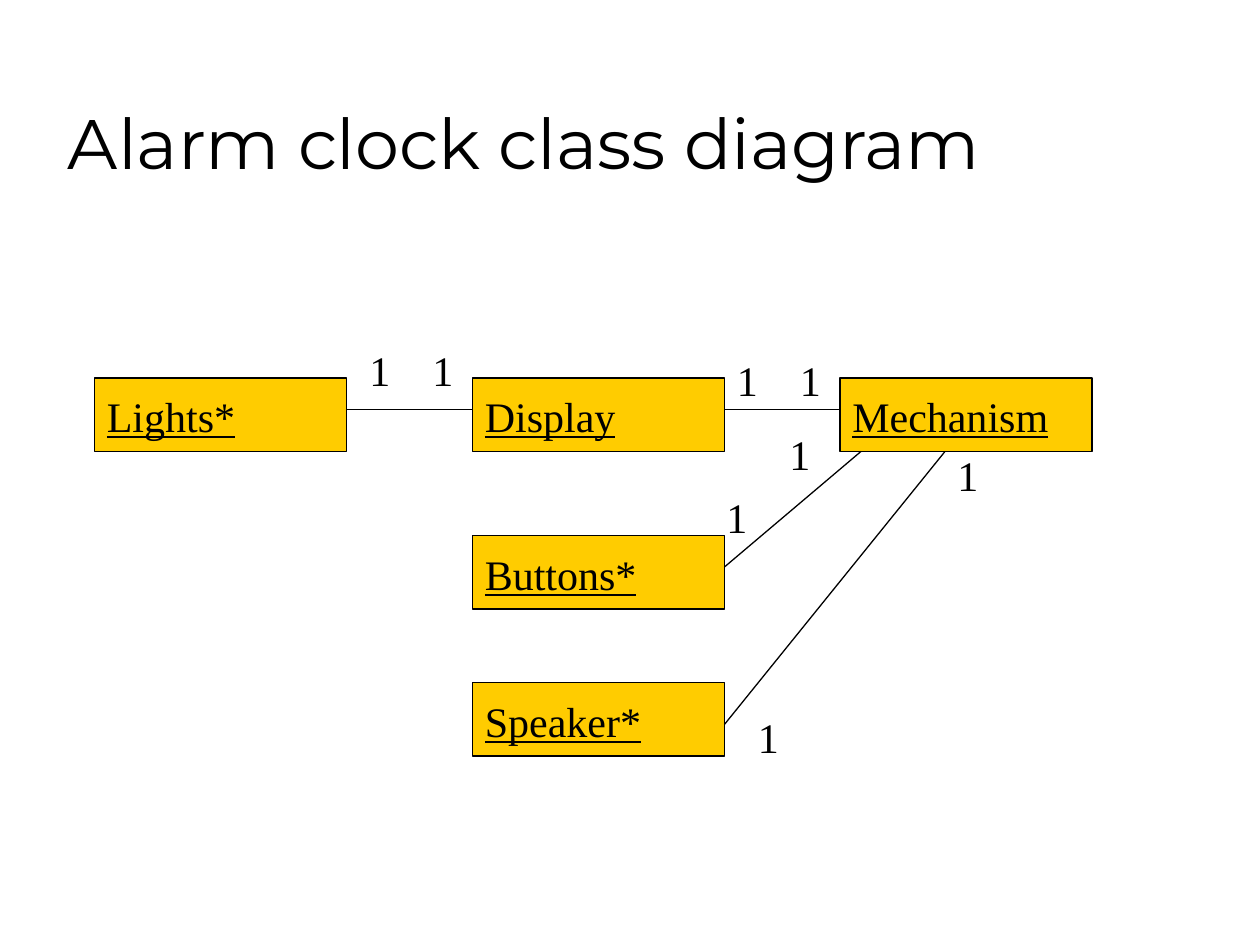
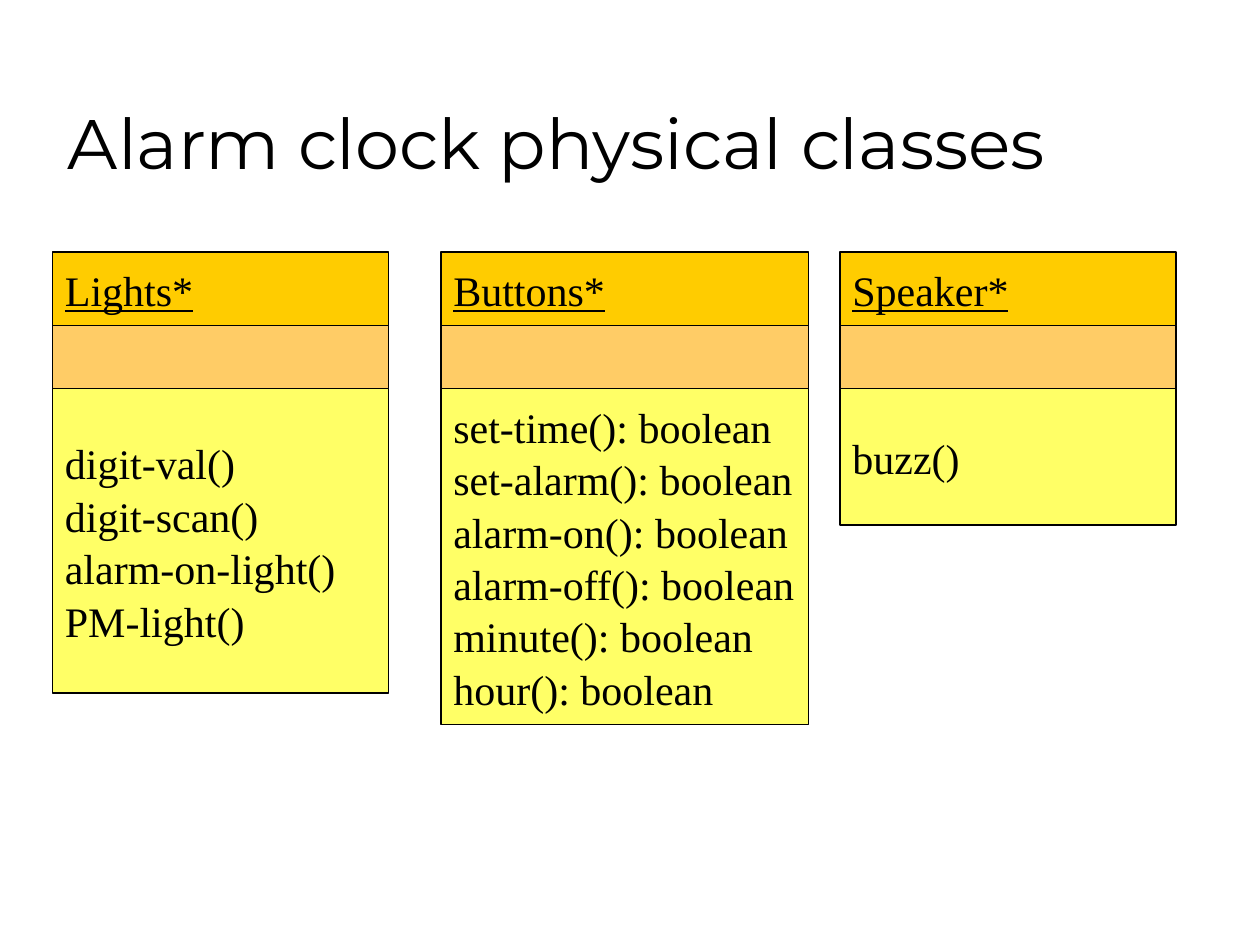
from typing import NamedTuple

from lxml import etree
from pptx import Presentation
from pptx.dml.color import RGBColor
from pptx.enum.shapes import MSO_CONNECTOR, MSO_SHAPE
from pptx.enum.text import MSO_ANCHOR, MSO_AUTO_SIZE, PP_ALIGN
from pptx.oxml.ns import qn
from pptx.util import Cm, Pt

RECT = MSO_SHAPE.RECTANGLE
STRAIGHT = MSO_CONNECTOR.STRAIGHT
MIDDLE, BOTTOM, TOP = MSO_ANCHOR.MIDDLE, MSO_ANCHOR.BOTTOM, MSO_ANCHOR.TOP
LEFT = PP_ALIGN.LEFT
FIT_SHAPE = MSO_AUTO_SIZE.SHAPE_TO_FIT_TEXT

COLORS = {
    "text": "000000",
    "line": "000000",
    "name": "FFCC00",
    "attributes": "FFCC66",
    "methods": "FFFF66",
}
TITLE_FONT, BODY_FONT = "Montserrat", "Times New Roman"
LINE_WIDTH = Pt(0.75)

# Grid steps: twelve to the inch
NAME_H, ATTRIBUTES_H = 7, 6
OBJECT_W = 24
CLASSES_TOP = 24


class ObjectBox(NamedTuple):
    name: str
    x: int
    y: int


class Link(NamedTuple):
    x1: int
    y1: int
    x2: int
    y2: int


class ClassBox(NamedTuple):
    name: str
    x: int
    w: int
    methods_h: int
    methods: list[str]


OBJECTS = [
    ObjectBox("Lights*", 9, 36),
    ObjectBox("Display", 45, 36),
    ObjectBox("Mechanism", 80, 36),
    ObjectBox("Buttons*", 45, 51),
    ObjectBox("Speaker*", 45, 65),
]
LINKS = [
    Link(33, 39, 45, 39),
    Link(69, 39, 80, 39),
    Link(69, 54, 82, 43),
    Link(69, 69, 90, 43),
]
MULTIPLICITIES = [(34, 32), (40, 32), (69, 33), (75, 33),
                  (68, 46), (74, 40), (71, 67), (90, 42)]
CLASSES = [
    ClassBox("Lights*", 5, 32, 29,
             ["digit-val()", "digit-scan()", "alarm-on-light()", "PM-light()"]),
    ClassBox("Buttons*", 42, 35, 32,
             [f"{name}(): boolean" for name in
              ("set-time", "set-alarm", "alarm-on", "alarm-off", "minute", "hour")]),
    ClassBox("Speaker*", 80, 32, 13, ["buzz()"]),
]


def grid(steps: float) -> Cm:
    """Turn grid steps into a length."""
    return Cm(steps * 2.54 / 12)


def rgb(key: str) -> RGBColor:
    return RGBColor.from_string(COLORS[key])


def write(sp, lines: list[str], *, font: str = BODY_FONT, size: int = 24,
          underline: bool = False, anchor=MIDDLE, wrap: bool = False,
          spacing: float = 1.04) -> None:
    tf = sp.text_frame
    tf.word_wrap = wrap
    tf.vertical_anchor = anchor
    for i, line in enumerate(lines):
        p = tf.add_paragraph() if i else tf.paragraphs[0]
        p.alignment = LEFT
        p.line_spacing = spacing
        r = p.add_run()
        r.text = line
        r.font.name = font
        r.font.size = Pt(size)
        r.font.color.rgb = rgb("text")
        if underline:
            r.font.underline = True


def add_title(s, text: str) -> None:
    sp = s.shapes.add_textbox(Cm(1.12), Cm(0.64), Cm(21.59), Cm(3.18))
    write(sp, [text], font=TITLE_FONT, size=40, anchor=BOTTOM, wrap=True, spacing=1)


def add_box(s, x: int, y: int, w: int, h: int, fill: str):
    sp = s.shapes.add_shape(RECT, grid(x), grid(y), grid(w), grid(h))
    sp.shadow.inherit = False
    sp.fill.solid()
    sp.fill.fore_color.rgb = rgb(fill)
    sp.line.color.rgb = rgb("line")
    sp.line.width = LINE_WIDTH
    return sp


def add_name(s, name: str, x: int, y: int, w: int) -> None:
    write(add_box(s, x, y, w, NAME_H, "name"), [name], underline=True)


def add_link(s, link: Link) -> None:
    line = s.shapes.add_connector(STRAIGHT, *(grid(n) for n in link))
    line.line.color.rgb = rgb("line")
    line.line.width = LINE_WIDTH
    etree.SubElement(line._element.spPr, qn("a:effectLst"))


def add_multiplicity(s, x: int, y: int) -> None:
    sp = s.shapes.add_textbox(grid(x), grid(y), Cm(0.91), Cm(1.27))
    write(sp, ["1"], anchor=TOP)
    sp.text_frame.auto_size = FIT_SHAPE


def add_class(s, box: ClassBox) -> None:
    """Stack the name, attribute and method compartments."""
    attributes_y = CLASSES_TOP + NAME_H
    methods_y = attributes_y + ATTRIBUTES_H
    add_name(s, box.name, box.x, CLASSES_TOP, box.w)
    add_box(s, box.x, attributes_y, box.w, ATTRIBUTES_H, "attributes")
    write(add_box(s, box.x, methods_y, box.w, box.methods_h, "methods"), box.methods)


def add_slide(prs, title: str):
    s = prs.slides.add_slide(prs.slide_layouts[6])
    add_title(s, title)
    return s


def main() -> None:
    prs = Presentation()
    prs.slide_width, prs.slide_height = Cm(25.4), Cm(19.05)

    s = add_slide(prs, "Alarm clock class diagram")
    for box in OBJECTS:
        add_name(s, box.name, box.x, box.y, OBJECT_W)
    for link in LINKS:
        add_link(s, link)
    for x, y in MULTIPLICITIES:
        add_multiplicity(s, x, y)

    s = add_slide(prs, "Alarm clock physical classes")
    for class_box in CLASSES:
        add_class(s, class_box)

    prs.save("out.pptx")


if __name__ == "__main__":
    main()
